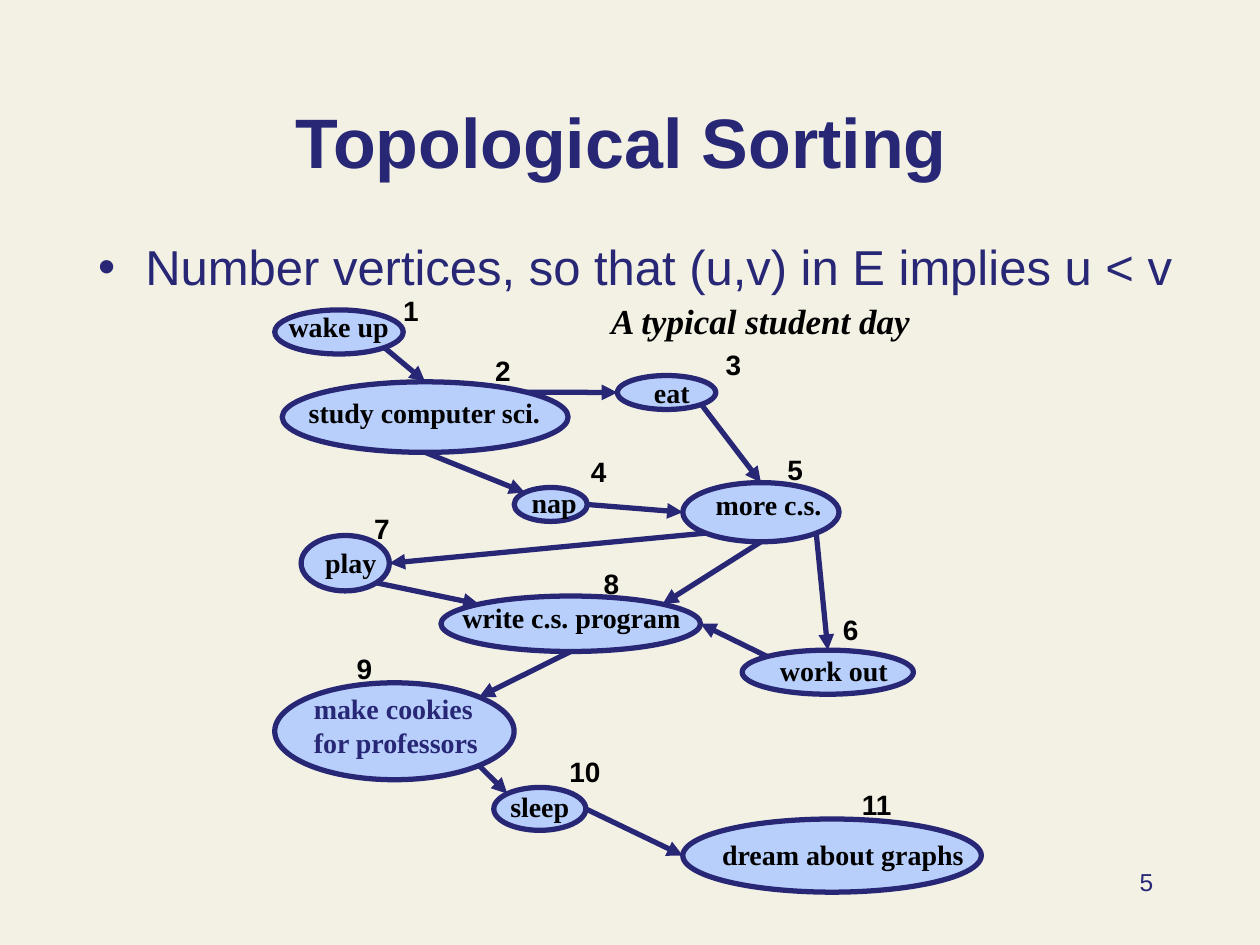
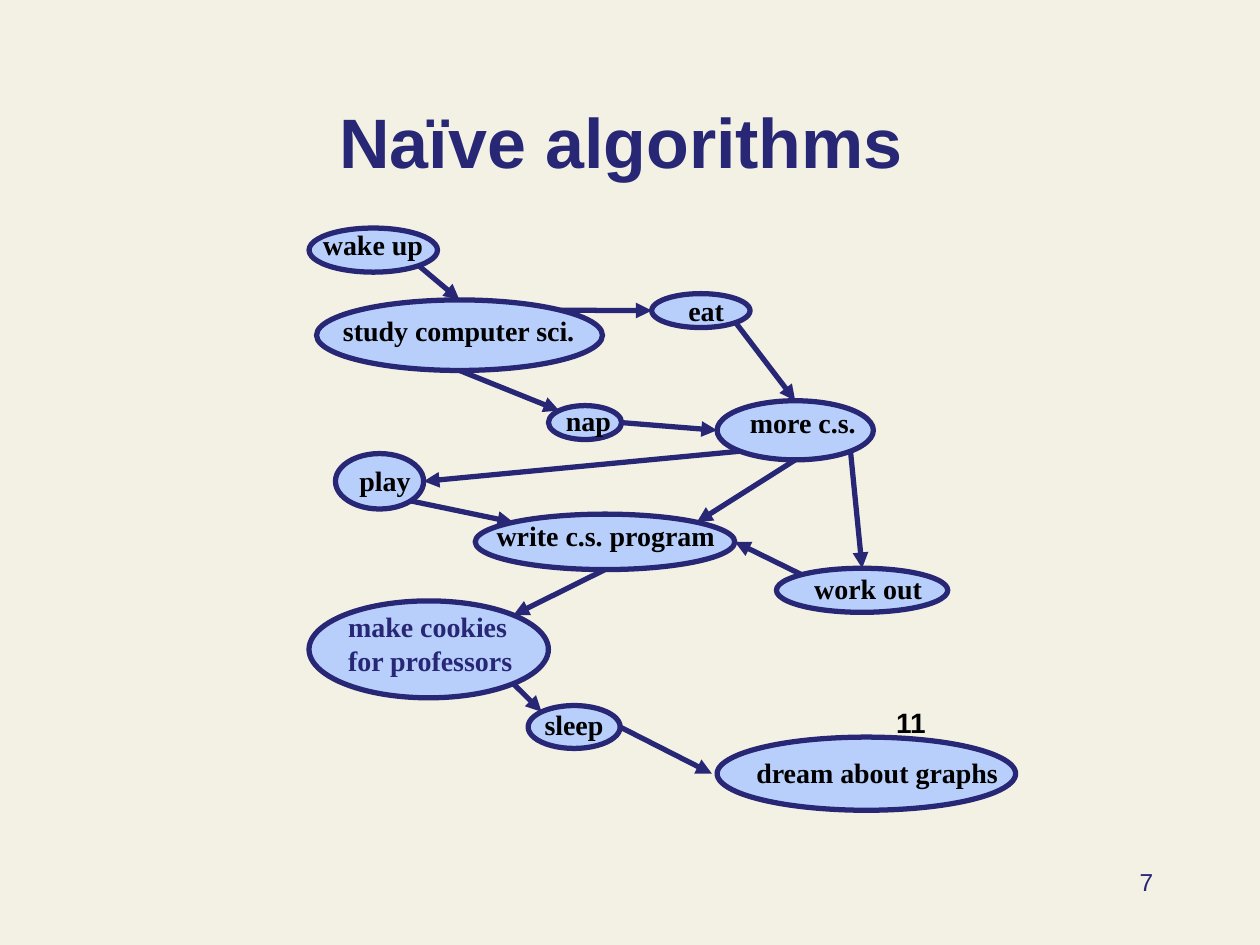
from dataclasses import dataclass
from enum import Enum
from math import cos, radians, sin
from typing import NamedTuple

from lxml.etree import SubElement
from pptx import Presentation
from pptx.dml.color import RGBColor
from pptx.enum.shapes import MSO_CONNECTOR as Connector, MSO_SHAPE as Preset
from pptx.enum.text import MSO_ANCHOR as Anchor, MSO_AUTO_SIZE as AutoSize, PP_ALIGN as Align
from pptx.oxml.ns import qn
from pptx.slide import Slide, SlideLayout
from pptx.text.text import TextFrame, _Paragraph as Paragraph
from pptx.util import Pt

CREAM = RGBColor(0xF3, 0xF1, 0xE4)
NAVY = RGBColor(0x27, 0x27, 0x76)
SKY = RGBColor(0xB8, 0xCF, 0xFB)
BLACK = RGBColor(0, 0, 0)

SANS = "Arial"
SERIF = "Times New Roman"
TITLE_ONLY = 5
OUTLINE = 3
LINE_HEIGHT = 19.4
BULLET_INDENT = 27


class Box(NamedTuple):
    left: float
    top: float
    width: float
    height: float


class Point(NamedTuple):
    x: float
    y: float


class Site(Enum):
    RIGHT = 0
    TOP_RIGHT = 45
    TOP = 90
    TOP_LEFT = 135
    LEFT = 180
    BOTTOM_LEFT = 225
    BOTTOM = 270
    BOTTOM_RIGHT = 315


@dataclass(frozen=True)
class Style:
    font: str
    size: float
    color: RGBColor = BLACK
    bold: bool = False
    italic: bool = False


@dataclass(frozen=True)
class Activity:
    rank: int
    name: str
    oval: Box
    label_at: Point
    rank_at: Point
    color: RGBColor = BLACK
    wrap_width: float = 0


class Dependency(NamedTuple):
    before: int
    leaving: Site
    after: int
    entering: Site


TITLE = Style(SANS, 40, NAVY, bold=True)
BODY = Style(SANS, 28, NAVY)
PAGE = Style(SANS, 14, NAVY)
RANK = Style(SANS, 16, bold=True)
CAPTION = Style(SERIF, 20, bold=True, italic=True)

TITLE_BOX = Box(49, 18, 612, 90)
BODY_BOX = Box(49, 131.8, 640.8, 59.8)
PAGE_BOX = Box(516.2, 491.8, 149.8, 36)
CAPTION_BOX = Box(349.2, 171.4, 171.4, 23.8)

ACTIVITIES = [
    Activity(1, "wake up", Box(157, 177.1, 73.4, 25.2), Point(164.9, 177.1), Point(230.4, 167.8)),
    Activity(2, "study computer sci.", Box(161.3, 218.2, 163.4, 40.3),
             Point(176.4, 226.1), Point(283, 202.3)),
    Activity(3, "eat", Box(352.8, 214.6, 56.2, 19.4), Point(373.7, 214.6), Point(414.7, 198.7)),
    Activity(4, "nap", Box(293.8, 278.6, 41.8, 19.4), Point(303.8, 277.2), Point(337.7, 259.9)),
    Activity(5, "more c.s.", Box(390.2, 275.8, 89.3, 33.8), Point(409, 278.6), Point(450, 258.5)),
    Activity(6, "work out", Box(424.1, 371.5, 97.9, 25.2), Point(445.7, 373.7), Point(481.7, 349.9)),
    Activity(7, "play", Box(172.1, 306, 50.4, 31.7), Point(185.8, 311.8), Point(213.8, 292.3)),
    Activity(8, "write c.s. program", Box(252, 340.6, 148.3, 31.7),
             Point(264.2, 343.4), Point(344.9, 324)),
    Activity(9, "make cookies for professors", Box(157, 390.2, 136.8, 55.4),
             Point(179.3, 395.3), Point(203.8, 372.2), NAVY, 109.4),
    Activity(10, "sleep", Box(282.2, 450, 52.6, 24.5), Point(291.6, 451.4), Point(325.4, 431.3)),
    Activity(11, "dream about graphs", Box(390.2, 468, 170.6, 41.8),
             Point(412.6, 478.8), Point(492.5, 450)),
]

DEPENDENCIES = [
    Dependency(1, Site.BOTTOM_RIGHT, 2, Site.TOP),
    Dependency(2, Site.TOP_RIGHT, 3, Site.LEFT),
    Dependency(2, Site.BOTTOM, 4, Site.TOP_LEFT),
    Dependency(3, Site.BOTTOM_RIGHT, 5, Site.TOP),
    Dependency(4, Site.RIGHT, 5, Site.LEFT),
    Dependency(5, Site.BOTTOM, 8, Site.TOP_RIGHT),
    Dependency(5, Site.BOTTOM_LEFT, 7, Site.RIGHT),
    Dependency(5, Site.BOTTOM_RIGHT, 6, Site.TOP),
    Dependency(6, Site.TOP_LEFT, 8, Site.RIGHT),
    Dependency(7, Site.BOTTOM_RIGHT, 8, Site.TOP_LEFT),
    Dependency(8, Site.BOTTOM, 9, Site.TOP_RIGHT),
    Dependency(9, Site.BOTTOM_RIGHT, 10, Site.TOP_LEFT),
    Dependency(10, Site.RIGHT, 11, Site.LEFT),
]


def add_run(paragraph: Paragraph, text: str, style: Style) -> None:
    run = paragraph.add_run()
    run.text = text
    run.font.name = style.font
    run.font.size = Pt(style.size)
    run.font.color.rgb = style.color
    run.font.bold = style.bold
    run.font.italic = style.italic


def add_text(slide: Slide, box: Box, text: str, style: Style,
             padded: bool = False, wrap: bool = False) -> TextFrame:
    frame = slide.shapes.add_textbox(*map(Pt, box)).text_frame
    frame.word_wrap = wrap
    if not padded:
        frame.margin_left = frame.margin_top = frame.margin_right = frame.margin_bottom = 0
    add_run(frame.paragraphs[0], text, style)
    return frame


def add_titled_slide(layout: SlideLayout, presentation, heading: str, page: int) -> Slide:
    slide = presentation.slides.add_slide(layout)
    title = slide.shapes.title
    title.left, title.top, title.width, title.height = map(Pt, TITLE_BOX)
    frame = title.text_frame
    frame.auto_size = AutoSize.NONE
    frame.vertical_anchor = Anchor.BOTTOM
    frame.paragraphs[0].alignment = Align.CENTER
    add_run(frame.paragraphs[0], heading, TITLE)
    number = add_text(slide, PAGE_BOX, str(page), PAGE, padded=True, wrap=True)
    number.paragraphs[0].alignment = Align.RIGHT
    return slide


def add_bullet(slide: Slide, text: str) -> None:
    paragraph = add_text(slide, BODY_BOX, text, BODY, padded=True, wrap=True).paragraphs[0]
    paragraph.space_before = Pt(4)
    properties = paragraph._p.get_or_add_pPr()
    properties.set("marL", str(Pt(BULLET_INDENT)))
    properties.set("indent", str(-Pt(BULLET_INDENT)))
    SubElement(properties, qn("a:buFont"), typeface=SANS)
    SubElement(properties, qn("a:buChar"), char="•")


def add_oval(slide: Slide, box: Box) -> None:
    oval = slide.shapes.add_shape(Preset.OVAL, *map(Pt, box))
    oval.shadow.inherit = False
    oval.fill.solid()
    oval.fill.fore_color.rgb = SKY
    oval.line.color.rgb = NAVY
    oval.line.width = Pt(OUTLINE)


def site_point(box: Box, site: Site) -> Point:
    angle = radians(site.value)
    return Point(box.left + box.width / 2 * (1 + cos(angle)),
                 box.top + box.height / 2 * (1 - sin(angle)))


def add_arrow(slide: Slide, start: Point, end: Point) -> None:
    arrow = slide.shapes.add_connector(Connector.STRAIGHT, *map(Pt, start + end))
    arrow.line.color.rgb = NAVY
    arrow.line.width = Pt(OUTLINE)
    SubElement(arrow.line._get_or_add_ln(), qn("a:tailEnd"), type="triangle")
    SubElement(arrow._element.spPr, qn("a:effectLst"))


def add_student_day(slide: Slide, shown_ranks: range, shift: Point = Point(0, 0),
                    last_gap: float = 0) -> None:
    def moved(point: Point) -> Point:
        return Point(point.x + shift.x, point.y + shift.y)

    ovals = {activity.rank: activity.oval for activity in ACTIVITIES}
    for oval in ovals.values():
        add_oval(slide, Box(*moved(Point(oval.left, oval.top)), oval.width, oval.height))
    for step in DEPENDENCIES:
        start = moved(site_point(ovals[step.before], step.leaving))
        end = moved(site_point(ovals[step.after], step.entering))
        if step == DEPENDENCIES[-1]:
            end = Point(end.x - last_gap, end.y)
        add_arrow(slide, start, end)
    for activity in ACTIVITIES:
        label = Style(SERIF, 16, activity.color, bold=True)
        wrapped = activity.wrap_width > 0
        width = activity.wrap_width or activity.oval.width
        height = LINE_HEIGHT * (2 if wrapped else 1)
        add_text(slide, Box(*moved(activity.label_at), width, height),
                 activity.name, label, wrap=wrapped)
        if activity.rank in shown_ranks:
            rank = str(activity.rank)
            add_text(slide, Box(*moved(activity.rank_at), 9 * len(rank), LINE_HEIGHT), rank, RANK)


def main() -> None:
    presentation = Presentation()
    presentation.slide_width, presentation.slide_height = Pt(720), Pt(540)
    background = presentation.slide_master.background.fill
    background.solid()
    background.fore_color.rgb = CREAM
    layout = presentation.slide_layouts[TITLE_ONLY]

    sorting = add_titled_slide(layout, presentation, "Topological Sorting", 5)
    add_bullet(sorting, "Number vertices, so that (u,v) in E implies u < v")
    add_student_day(sorting, range(1, 12))
    add_text(sorting, CAPTION_BOX, "A typical student day", CAPTION)

    naive = add_titled_slide(layout, presentation, "Naïve algorithms", 7)
    add_student_day(naive, range(11, 12), shift=Point(19.6, -46.8), last_gap=3)

    presentation.save("out.pptx")


if __name__ == "__main__":
    main()
